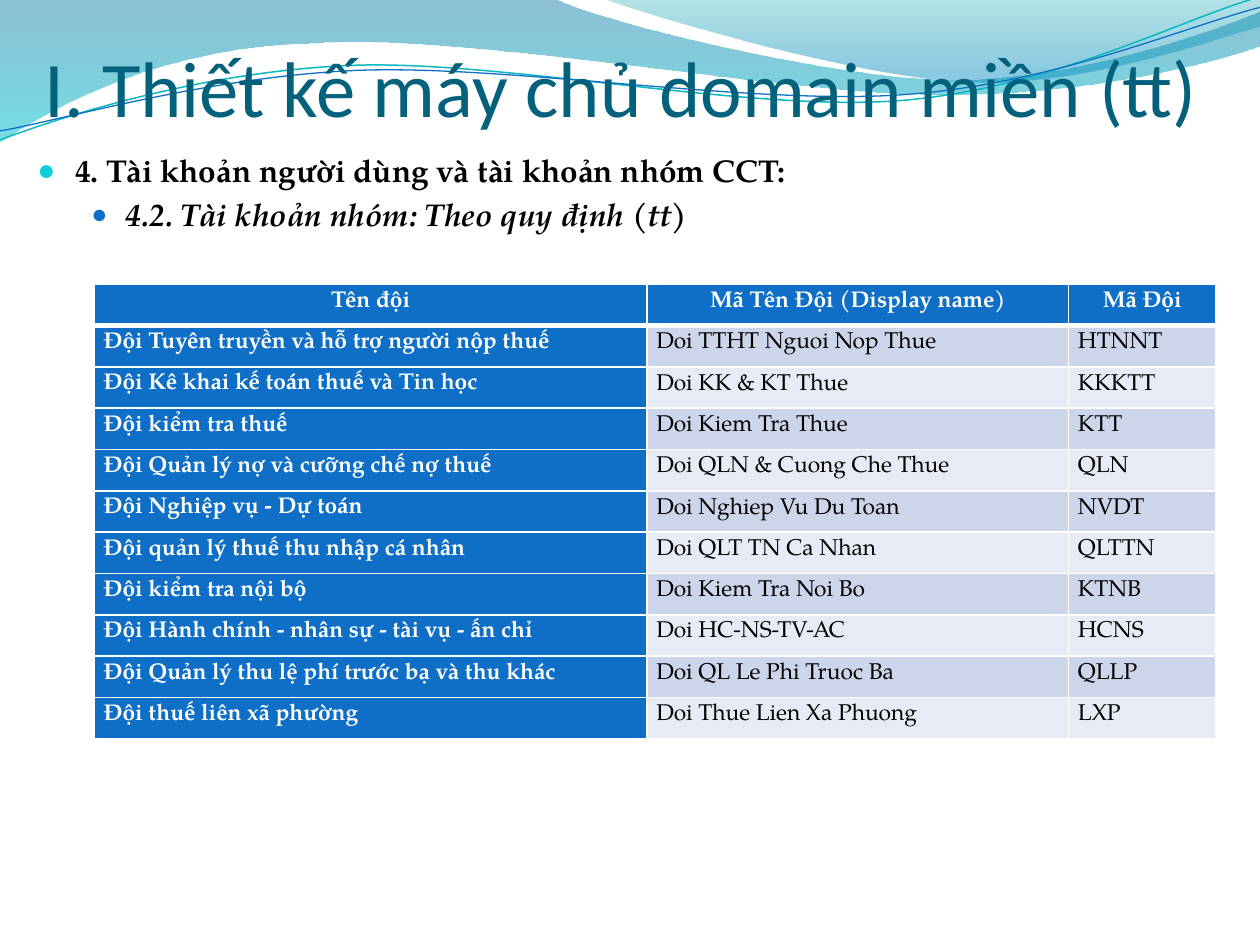
import math
from dataclasses import dataclass
from typing import Any

from lxml import etree
from pptx import Presentation
from pptx import util as u
from pptx.dml.color import RGBColor
from pptx.enum import text
from pptx.oxml import ns

BLUE, TEAL, DARK_TEAL = "0F6FC6", "0BD0D9", "04617B"
WHITE, BLACK = "FFFFFF", "000000"
BANDS = ("CCD5EA", "E7EBF5")

# Outlines in cm: two numbers are a straight step, six a Bézier curve.
LOWER_WAVE = [
    (0, 0), (11.18, -0.03),
    (12.09, 0.43, 16.87, 1.6, 19.25, 1.6), (21.67, 1.6, 24.33, 0.66, 25.4, 0.23),
    (25.43, 0.91),
    (24.97, 1.12, 22.1, 1.93, 18.95, 1.91), (15.8, 1.91, 9.7, 0.71, 6.53, 0.86),
    (3.25, 0.91, 1.17, 2.11, -0.03, 2.87), (0, 0),
]
UPPER_WAVE = [
    (12.17, -0.03),
    (12.93, 0.28, 17.32, 1.57, 19.53, 1.65), (21.74, 1.75, 24.41, 0.81, 25.4, 0.53),
    (25.4, 0), (12.17, -0.03),
]
TEAL_STRAND = [
    (0, 2.82), (1.22, 2.36, 4.01, 1.45, 7.04, 1.32),
    (10.03, 1.19, 15.06, 2.26, 18.11, 2.03), (21.16, 1.8, 23.83, 0.38, 25.35, -0.05),
]
BLUE_STRAND = [
    (0, 2.64), (1.19, 2.44, 4.17, 1.55, 7.19, 1.42),
    (10.24, 1.3, 15.16, 2.13, 18.21, 1.91), (21.23, 1.7, 23.9, 0.53, 25.4, 0.15),
]
STRAND_TILT = -2.7

HEADINGS = ("Tên đội", "Mã Tên Đội (Display name)", "Mã Đội")
TEAMS = [
    ("Đội Tuyên truyền và hỗ trợ người nộp thuế", "Doi TTHT Nguoi Nop Thue", "HTNNT"),
    ("Đội Kê khai kế toán thuế và Tin học", "Doi KK & KT Thue", "KKKTT"),
    ("Đội kiểm tra thuế", "Doi Kiem Tra Thue", "KTT"),
    ("Đội Quản lý nợ và cưỡng chế nợ thuế", "Doi QLN & Cuong Che Thue", "QLN"),
    ("Đội Nghiệp vụ - Dự toán", "Doi Nghiep Vu Du Toan", "NVDT"),
    ("Đội quản lý thuế thu nhập cá nhân", "Doi QLT TN Ca Nhan", "QLTTN"),
    ("Đội kiểm tra nội bộ", "Doi Kiem Tra Noi Bo", "KTNB"),
    ("Đội Hành chính - nhân sự - tài vụ - ấn chỉ", "Doi HC-NS-TV-AC", "HCNS"),
    ("Đội Quản lý thu lệ phí trước bạ và thu khác", "Doi QL Le Phi Truoc Ba", "QLLP"),
    ("Đội thuế liên xã phường", "Doi Thue Lien Xa Phuong", "LXP"),
]


def color(value):
    return RGBColor.from_string(value)


def xml_child(parent, tag, **attributes):
    return etree.SubElement(parent, ns.qn(tag), attributes)


def turn(steps, degrees, center):
    """Turn every point of an outline clockwise around the center."""
    sin, cos = math.sin(math.radians(degrees)), math.cos(math.radians(degrees))
    cx, cy = center
    turned = []
    for step in steps:
        pairs = [(x - cx, y - cy) for x, y in zip(step[::2], step[1::2])]
        turned.append(tuple(value for x, y in pairs
                            for value in (cx + x * cos - y * sin, cy + x * sin + y * cos)))
    return turned


def bend(shape, steps):
    """Join the three straight parts laid down for each curve into one Bézier."""
    parts = iter(list(shape._element.iter(ns.qn("a:lnTo"))))
    for step in steps[1:]:
        pieces = [next(parts) for _ in range(len(step) // 2)]
        if len(pieces) == 3:
            curve = etree.Element(ns.qn("a:cubicBezTo"))
            pieces[0].addprevious(curve)
            for piece in pieces:
                curve.append(piece[0])
                piece.getparent().remove(piece)


def add_border(cell, side, position, width):
    edge = etree.Element(ns.qn(f"a:{side}"), w=str(u.Pt(width)))
    paint = xml_child(edge, "a:solidFill")
    xml_child(paint, "a:srgbClr", val=WHITE)
    cell._tc.get_or_add_tcPr().insert(position, edge)


@dataclass
class SlideWriter:
    slide: Any
    title_font: str = "Calibri"
    text_font: str = "TeX Gyre Pagella"

    def style(self, paragraph, size, hue, name=None, bold=False, italic=False):
        for font in (paragraph.font, *(run.font for run in paragraph.runs)):
            font.name = name or self.text_font
            font.size = u.Pt(size)
            font.bold, font.italic = bold, italic
            font.color.rgb = color(hue)

    def place(self, holder, left, top, width, height):
        """Move a placeholder and bring it in front of what is drawn so far."""
        holder.left, holder.top = u.Cm(left), u.Cm(top)
        holder.width, holder.height = u.Cm(width), u.Cm(height)
        self.slide.shapes._spTree.append(holder._element)
        holder.text_frame.auto_size = text.MSO_AUTO_SIZE.NONE
        return holder.text_frame

    def outline(self, steps, closed):
        points = [(u.Cm(x), u.Cm(y)) for step in steps
                  for x, y in zip(step[::2], step[1::2])]
        builder = self.slide.shapes.build_freeform(*points[0])
        builder.add_line_segments(points[1:], close=closed)
        shape = builder.convert_to_shape()
        bend(shape, steps)
        shape.shadow.inherit = False
        return shape

    def wave(self, steps, stops):
        """Fill an outline from top to bottom; a stop is position, hue, opacity %."""
        shape = self.outline(steps, closed=True)
        shape.line.fill.background()
        shape.fill.gradient()
        shape.fill.gradient_angle = 270
        for stop, (position, hue, opacity) in zip(shape.fill.gradient_stops, stops):
            stop.position = position
            stop.color.rgb = color(hue)
            xml_child(stop._gs[0], "a:alpha", val=str(opacity * 1000))

    def strand(self, steps, center, hue, width):
        shape = self.outline(turn(steps, -STRAND_TILT, center), closed=False)
        shape.rotation = STRAND_TILT
        shape.fill.background()
        shape.line.color.rgb = color(hue)
        shape.line.width = u.Pt(width)

    def title(self, wording):
        frame = self.place(self.slide.shapes.title, 0.9, 0.7, 23.8, 1.98)
        frame.margin_left = frame.margin_right = frame.margin_bottom = 0
        frame.vertical_anchor = text.MSO_ANCHOR.BOTTOM
        frame.text = wording
        heading = frame.paragraphs[0]
        heading.alignment = text.PP_ALIGN.LEFT
        self.style(heading, 45, DARK_TEAL, self.title_font)

    def outline_list(self, items):
        """Write items of wording, indent and hang in cm, bullet hue and size %."""
        frame = self.place(self.slide.placeholders[1], 0.5, 2.92, 24.6, 15.8)
        frame.text = "\n".join(item[0] for item in items)
        for level, (item, (_, indent, hang, hue, scale)) in enumerate(
                zip(frame.paragraphs, items)):
            item.level = level
            props = item._p.get_or_add_pPr()
            props.set("marL", str(u.Cm(indent)))
            props.set("indent", str(-u.Cm(hang)))
            xml_child(xml_child(props, "a:buClr"), "a:srgbClr", val=hue)
            xml_child(props, "a:buSzPct", val=str(scale * 1000))
            xml_child(props, "a:buChar", char="●")
            self.style(item, 18, BLACK, bold=True, italic=level > 0)

    def cell(self, cell, wording, fill, hue, heading):
        cell.fill.solid()
        cell.fill.fore_color.rgb = color(fill)
        cell.margin_left = cell.margin_right = u.Cm(0.19)
        cell.margin_top = cell.margin_bottom = 0
        for position, side in enumerate(("lnL", "lnR", "lnT", "lnB")):
            add_border(cell, side, position, 3 if heading and side == "lnB" else 1)
        cell.text = wording
        line = cell.text_frame.paragraphs[0]
        line.alignment = text.PP_ALIGN.CENTER if heading else text.PP_ALIGN.JUSTIFY
        line.line_spacing = 1.3
        line.space_before = line.space_after = u.Pt(3)
        self.style(line, 13, hue, bold=hue == WHITE)

    def table(self, rows, left, top, widths, height):
        grid = self.slide.shapes.add_table(
            len(rows), len(widths), u.Cm(left), u.Cm(top),
            u.Cm(sum(widths)), u.Cm(height)).table
        grid.horz_banding = False
        for column, width in zip(grid.columns, widths):
            column.width = u.Cm(width)
        for r, row in enumerate(rows):
            for c, wording in enumerate(row):
                header = r == 0 or c == 0
                fill, hue = (BLUE, WHITE) if header else (BANDS[(r - 1) % 2], BLACK)
                self.cell(grid.cell(r, c), wording, fill, hue, heading=r == 0)


def main():
    deck = Presentation()
    deck.slide_width, deck.slide_height = u.Cm(25.4), u.Cm(19.05)
    writer = SlideWriter(deck.slides.add_slide(deck.slide_layouts[1]))
    writer.wave(LOWER_WAVE, [(0, "0074A1", 45), (1, "00C6CF", 55)])
    writer.wave(UPPER_WAVE, [(0, "00A1A9", 30), (0.8, "008BBF", 45)])
    writer.strand(TEAL_STRAND, (12.67, 1.46), "0AB8BF", 0.85)
    writer.strand(BLUE_STRAND, (12.69, 1.5), BLUE, 0.75)
    writer.title("I. Thiết kế máy chủ domain miền (tt)")
    writer.outline_list([
        ("4. Tài khoản người dùng và tài khoản nhóm CCT:", 0.76, 0.76, TEAL, 95),
        ("4.2. Tài khoản nhóm: Theo quy định (tt)", 1.78, 0.69, BLUE, 85),
    ])
    writer.table([HEADINGS, *TEAMS], 1.9, 5.73, (11.14, 8.5, 2.97), 9.17)
    deck.save("out.pptx")


if __name__ == "__main__":
    main()
